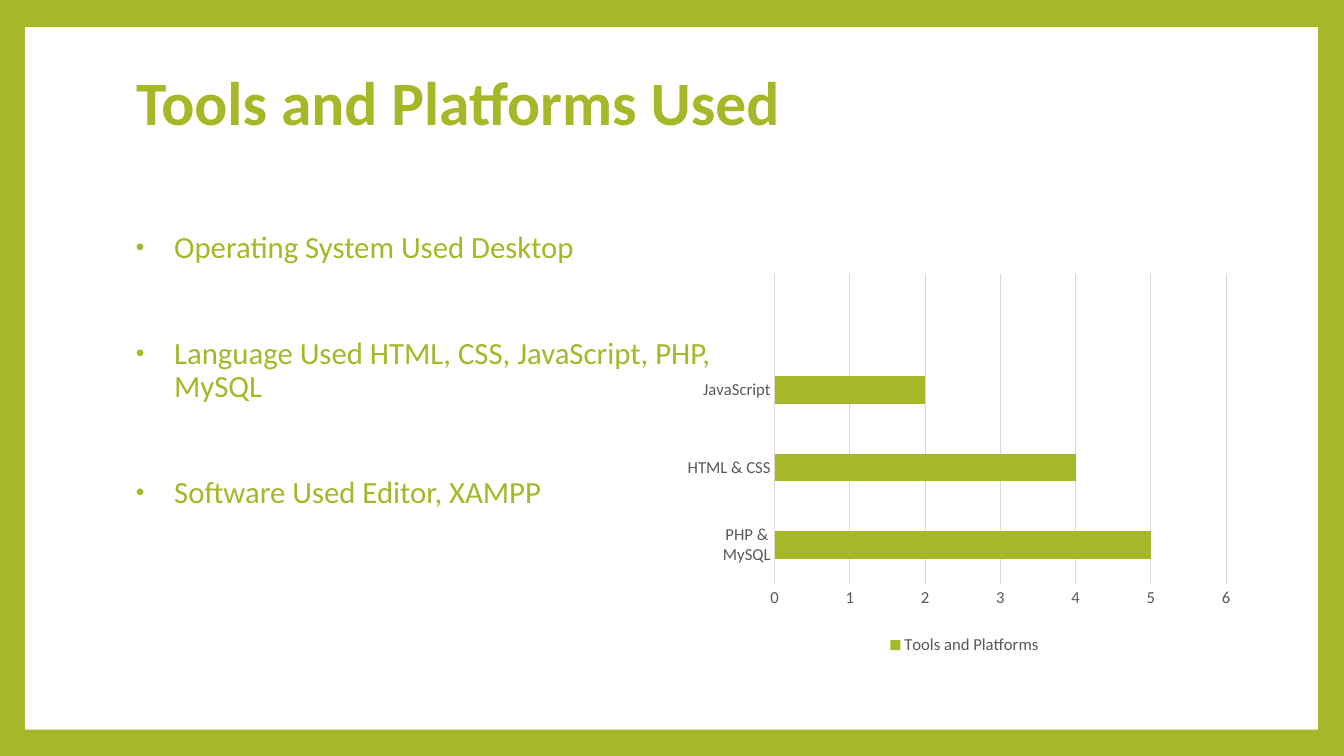
"""Build the Tools and Platforms Used slide."""
from lxml.etree import SubElement
from pptx import Presentation
from pptx.chart.data import CategoryChartData
from pptx.dml.color import RGBColor
from pptx.enum.chart import XL_CHART_TYPE, XL_LEGEND_POSITION, XL_TICK_MARK
from pptx.enum.shapes import MSO_SHAPE
from pptx.enum.text import MSO_ANCHOR, PP_ALIGN
from pptx.oxml.ns import qn
from pptx.util import Inches, Pt

COLORS = {"green": "A6B727", "white": "FFFFFF", "text": "595959", "grid": "D9D9D9"}
FONT = "Calibri"


def rgb(name):
    return RGBColor.from_string(COLORS[name])


def write(p, text, size, color="green", bold=False, before=0, bullet=None):
    p.alignment = PP_ALIGN.LEFT
    p.line_spacing = 0.9
    p.space_before = Pt(before)
    if bullet:
        pPr = p._p.get_or_add_pPr()
        pPr.set("marL", str(Inches(0.38)))
        pPr.set("indent", str(Inches(-0.38)))
        clr = SubElement(pPr, qn("a:buClr"))
        SubElement(clr, qn("a:srgbClr"), val=COLORS[color])
        SubElement(pPr, qn("a:buSzPct"), val="80000")
        SubElement(pPr, qn("a:buFont"), typeface="Arial")
        SubElement(pPr, qn("a:buChar"), char=bullet)
    r = p.add_run()
    r.text = text
    r.font.name = FONT
    r.font.size = Pt(size)
    r.font.bold = bold
    r.font.color.rgb = rgb(color)


prs = Presentation()
prs.slide_width, prs.slide_height = Inches(13.33), Inches(7.5)
slide = prs.slides.add_slide(prs.slide_layouts[5])
slide.background.fill.solid()
slide.background.fill.fore_color.rgb = rgb("green")

panel = slide.shapes.add_shape(
    MSO_SHAPE.RECTANGLE, Inches(0.25), Inches(0.27), Inches(12.82), Inches(6.97))
panel.shadow.inherit = False
panel.fill.solid()
panel.fill.fore_color.rgb = rgb("white")
panel.line.fill.background()
slide.shapes._spTree.insert(2, panel._element)

title = slide.shapes.title
title.left, title.top = Inches(1.25), Inches(0.67)
title.width, title.height = Inches(10.8), Inches(1.48)
tf = title.text_frame
tf.word_wrap = True
tf.vertical_anchor = MSO_ANCHOR.TOP
write(tf.paragraphs[0], "Tools and Platforms Used", 44, bold=True)

body = slide.shapes.add_textbox(Inches(1.25), Inches(2.25), Inches(6.16), Inches(4.29))
tf = body.text_frame
tf.word_wrap = True
tools = ["Operating System Used Desktop",
         "Language Used HTML, CSS, JavaScript, PHP, MySQL",
         "Software Used Editor, XAMPP"]
for i, tool in enumerate(tools):
    p = tf.add_paragraph() if i else tf.paragraphs[0]
    write(p, tool, 22, before=52 if i else 0, bullet="•")

data = CategoryChartData()
data.categories = ["PHP & MySQL", "HTML & CSS", "JavaScript", ""]
data.add_series("Tools and Platforms", [5, 4, 2, None])
chart = slide.shapes.add_chart(
    XL_CHART_TYPE.BAR_CLUSTERED, Inches(6.82), Inches(2.55), Inches(5.46), Inches(3.99),
    data).chart
chart.has_title = False
chart.font.name = FONT
chart.font.size = Pt(12)
chart.font.color.rgb = rgb("text")

plot = chart.plots[0]
plot.gap_width = 182
plot.vary_by_categories = False
fill = plot.series[0].format.fill
fill.solid()
fill.fore_color.rgb = rgb("green")

cats, vals = chart.category_axis, chart.value_axis
for axis in (cats, vals):
    axis.major_tick_mark = axis.minor_tick_mark = XL_TICK_MARK.NONE
vals.minimum_scale, vals.maximum_scale, vals.major_unit = 0, 6, 1
vals.format.line.fill.background()
cats.has_major_gridlines = False
vals.has_major_gridlines = True
for line in (cats.format.line, vals.major_gridlines.format.line):
    line.color.rgb = rgb("grid")
    line.width = Pt(0.75)

chart.has_legend = True
chart.legend.position = XL_LEGEND_POSITION.BOTTOM
chart.legend.include_in_layout = False

area = chart._chartSpace.chart.plotArea
layout = area.find(qn("c:layout"))
if layout is None:
    layout = SubElement(area, qn("c:layout"))
    area.insert(0, layout)
manual = SubElement(layout, qn("c:manualLayout"))
for tag, val in [("layoutTarget", "inner"), ("xMode", "edge"), ("yMode", "edge"),
                 ("x", "0.153"), ("y", "0.042"), ("w", "0.825"), ("h", "0.77")]:
    SubElement(manual, qn(f"c:{tag}"), val=val)

prs.save("out.pptx")
